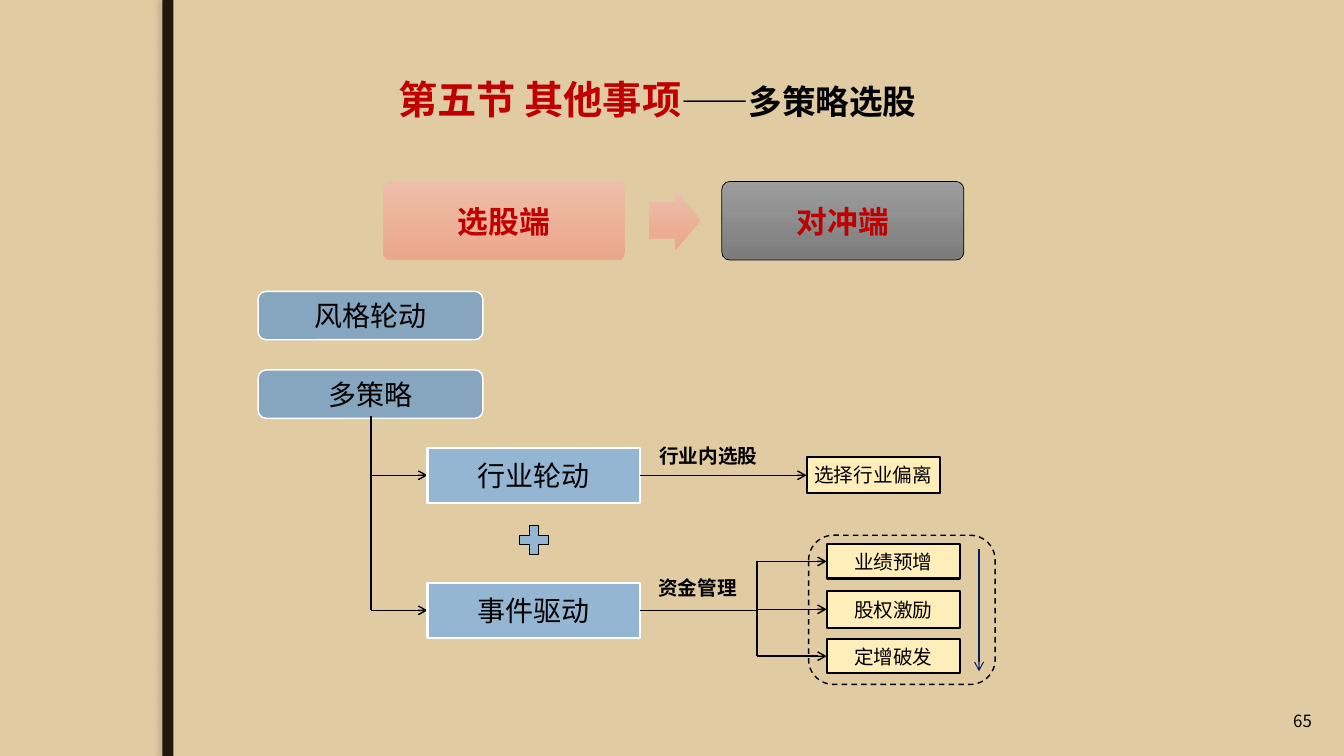
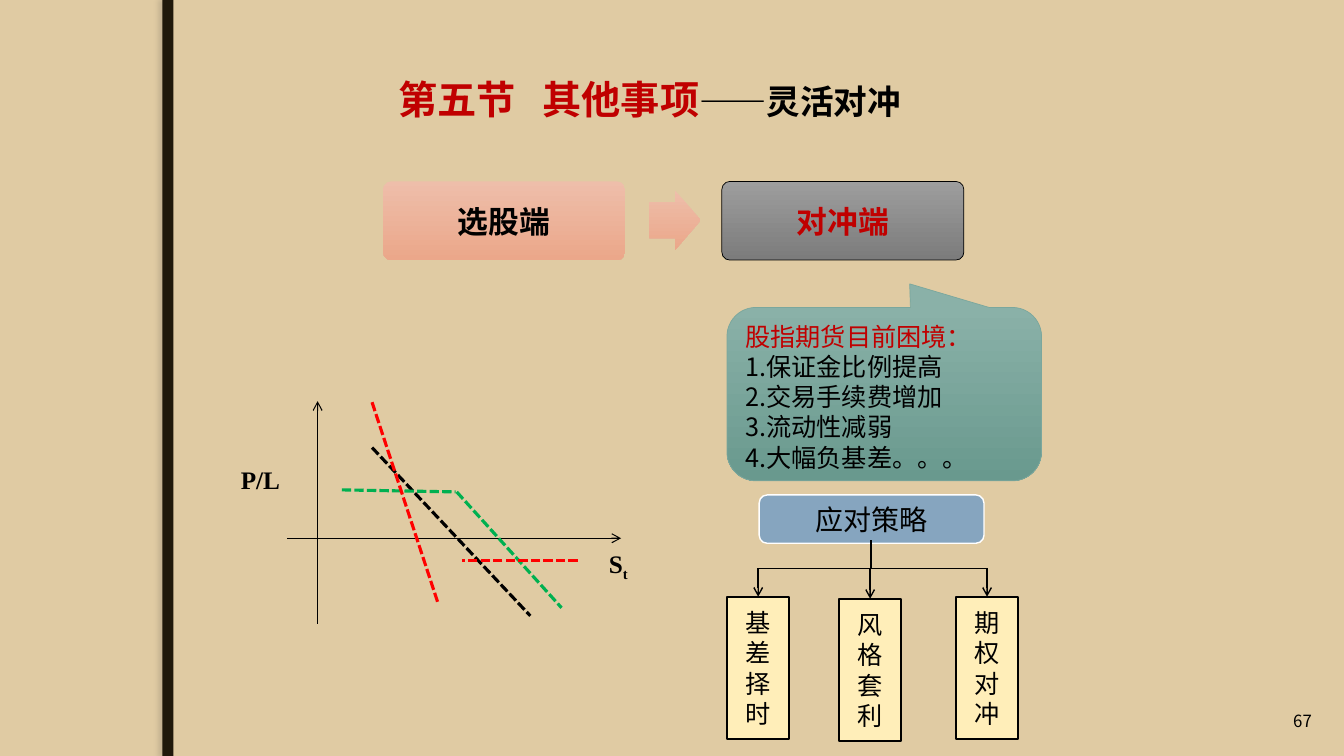
from dataclasses import dataclass

from lxml import etree
from pptx import Presentation
from pptx.dml.color import RGBColor
from pptx.enum.dml import MSO_LINE
from pptx.enum.shapes import MSO_CONNECTOR, MSO_SHAPE
from pptx.enum.text import MSO_ANCHOR, MSO_AUTO_SIZE, PP_ALIGN
from pptx.oxml.ns import qn
from pptx.util import Inches, Pt


@dataclass(frozen=True)
class Theme:
    background: str = "E0CBA3"
    band: str = "20190B"
    band_shadow: str = "766E60"
    ink: str = "000000"
    accent: str = "C00000"
    white: str = "FFFFFF"
    strategy: str = "86A5BF"
    driver: str = "94B6D2"
    choice: str = "FFEEB9"
    order: str = "002060"
    stock_side: tuple = ("EEBEAA", "EBA78A")
    hedge_side: tuple = ("9D9D9D", "7C7C7C")
    callout: tuple = ("8AB1A8", "69998E")
    callout_edge: str = "7BA79D"
    green: str = "00B050"
    red: str = "FF0000"
    cjk: str = "Noto Sans CJK SC"
    display: str = "TeX Gyre Adventor"
    serif: str = "Times New Roman"
    sans: str = "Arial"
    title_size: int = 28
    subtitle_size: int = 24
    side_size: int = 22
    strategy_size: int = 20
    body_size: int = 18
    choice_size: int = 14
    page_size: int = 12
    leading: float = 1.2


T = Theme()

# ---- Content ----
SIDES = ("选股端", "对冲端")
TITLES = (
    [("第五节 其他事项", {}), ("——多策略选股", {"size": T.subtitle_size, "color": T.ink})],
    [("第五节", {}), (" ", {"spacing": 12.9}), ("其他事项", {}),
     ("——灵活对冲", {"size": T.subtitle_size, "color": T.ink})],
)
SELECTION = [("风格轮动", 2.89), ("多策略", 3.67)]
DRIVERS = [("行业轮动", 4.44), ("事件驱动", 5.78)]
LINK_LABELS = [("行业内选股", 6.44, 4.36, 1.18), ("资金管理", 6.43, 5.66, 0.99)]
INDUSTRY_CHOICE = "选择行业偏离"
EVENTS = [("业绩预增", 5.4, 0.34), ("股权激励", 5.86, 0.37), ("定增破发", 6.34, 0.34)]

DIFFICULTIES = ["股指期货目前困境：", "1.保证金比例提高", "2.交易手续费增加",
                "3.流动性减弱", "4.大幅负基差。。。"]
RESPONSE = "应对策略"
RESPONSES = [("基差择时", 7.21, 5.92), ("风格套利", 8.32, 5.94), ("期权对冲", 9.48, 5.92)]
AXES = [[(3.15, 6.19), (3.15, 3.98)], [(2.85, 5.34), (6.16, 5.34)]]
PAYOFFS = [
    (T.ink, [(3.69, 4.44), (5.26, 6.11)]),
    (T.green, [(3.39, 4.86), (4.52, 4.88)]),
    (T.green, [(4.53, 4.88), (5.57, 6.03)]),
    (T.red, [(5.73, 5.56), (4.58, 5.56)]),
    (T.red, [(3.69, 3.99), (4.34, 5.97)]),
]
AXIS_LABELS = [([("P/L", {})], 2.29, 4.56, 0.59),
               ([("S", {}), ("t", {"baseline": -25})], 5.94, 5.43, 0.4)]


# ---- Drawing helpers ----
def rgb(value):
    return RGBColor.from_string(value)


def write(frame, paragraphs, size, font=T.cjk, color=T.ink, bold=False,
          align=PP_ALIGN.LEFT, anchor=MSO_ANCHOR.TOP, wrap=True, inset=None):
    """Each paragraph is a string or a list of (text, overrides) runs."""
    frame.word_wrap = wrap
    frame.auto_size = MSO_AUTO_SIZE.NONE
    frame.vertical_anchor = anchor
    if inset is not None:
        frame.margin_left = frame.margin_right = Inches(inset)
        frame.margin_top = frame.margin_bottom = Inches(inset)
    for index, content in enumerate(paragraphs):
        paragraph = frame.paragraphs[0] if index == 0 else frame.add_paragraph()
        paragraph.alignment = align
        paragraph.line_spacing = Pt(size * T.leading)
        runs = [(content, {})] if isinstance(content, str) else content
        for text, own in runs:
            run = paragraph.add_run()
            run.text = text
            run.font.size = Pt(own.get("size", size))
            run.font.bold = bold
            run.font.name = font
            run.font.color.rgb = rgb(own.get("color", color))
            properties = run.font._element
            etree.SubElement(properties, qn("a:ea"), typeface=T.cjk)
            if "baseline" in own:
                properties.set("baseline", str(own["baseline"] * 1000))
            if "spacing" in own:
                properties.set("spc", str(round(own["spacing"] * 100)))


def add_text(slide, box, paragraphs, **style):
    holder = slide.shapes.add_textbox(*map(Inches, box))
    write(holder.text_frame, paragraphs, **style)


def add_box(slide, kind, box, fill=None, edge=None, weight=1, adjust=(), dash=None):
    shape = slide.shapes.add_shape(kind, *map(Inches, box))
    shape.shadow.inherit = False
    for index, value in enumerate(adjust):
        shape.adjustments[index] = value
    if fill is None:
        shape.fill.background()
    elif isinstance(fill, tuple):
        shape.fill.gradient()
        shape.fill.gradient_angle = 270
        for stop, value in zip(shape.fill.gradient_stops, fill):
            stop.color.rgb = rgb(value)
    else:
        shape.fill.solid()
        shape.fill.fore_color.rgb = rgb(fill)
    if edge is None:
        shape.line.fill.background()
    else:
        shape.line.color.rgb = rgb(edge)
        shape.line.width = Pt(weight)
        shape.line.dash_style = dash
    return shape


def add_route(slide, points, color=T.ink, weight=1, arrow=True, dash=None):
    """Join the points with straight lines; an arrowhead ends the last one."""
    for start, end in zip(points, points[1:]):
        line = slide.shapes.add_connector(
            MSO_CONNECTOR.STRAIGHT, *map(Inches, (*start, *end)))
        line.line.color.rgb = rgb(color)
        line.line.width = Pt(weight)
        line.line.dash_style = dash
        etree.SubElement(line._element.spPr, qn("a:effectLst"))
        if arrow and end == points[-1]:
            etree.SubElement(line.line._get_or_add_ln(), qn("a:tailEnd"), type="arrow")


# ---- Parts of the deck ----
def add_band(slide, layout):
    """Draw the dark band once and hand it to the layout."""
    band = add_box(slide, MSO_SHAPE.RECTANGLE, (1.61, 0, 0.11, 7.5), T.band)
    effects = band._element.spPr.find(qn("a:effectLst"))
    shadow = etree.SubElement(effects, qn("a:outerShdw"), blurRad=str(Pt(3)),
                              dist=str(Pt(3)), dir="10800000")
    tone = etree.SubElement(shadow, qn("a:srgbClr"), val=T.band_shadow)
    etree.SubElement(tone, qn("a:alpha"), val="25000")
    layout.shapes.element.insert(2, band._element)


def start_slide(prs, layout, title_runs, page, side_colors):
    slide = prs.slides.add_slide(layout)
    title = slide.shapes.title
    title.left, title.top, title.width, title.height = map(Inches, (3.85, 0.7, 5.55, 0.57))
    write(title.text_frame, [title_runs], size=T.title_size, color=T.accent,
          bold=True, wrap=False)
    looks = [(3.8, T.stock_side, None), (7.16, T.hedge_side, T.ink)]
    for name, color, (left, fill, edge) in zip(SIDES, side_colors, looks):
        side = add_box(slide, MSO_SHAPE.ROUNDED_RECTANGLE, (left, 1.8, 2.4, 0.78),
                       fill, edge, 0.5, (0.1,))
        write(side.text_frame, [name], size=T.side_size, font=T.display, color=color,
              bold=True, align=PP_ALIGN.CENTER, anchor=MSO_ANCHOR.MIDDLE, inset=0.09)
    add_box(slide, MSO_SHAPE.RIGHT_ARROW, (6.44, 1.89, 0.51, 0.59), T.stock_side,
            adjust=(0.6, 0.5))
    add_text(slide, (10, 7.03, 3.11, 0.27), [str(page)], size=T.page_size,
             align=PP_ALIGN.RIGHT, anchor=MSO_ANCHOR.BOTTOM)
    return slide


def add_node(slide, kind, box, paragraphs, fill, edge, weight, size, font=T.serif):
    node = add_box(slide, kind, box, fill, edge, weight)
    write(node.text_frame, paragraphs, size=size, font=font, align=PP_ALIGN.CENTER,
          anchor=MSO_ANCHOR.MIDDLE, inset=0)


def add_strategy(slide, left, top, name):
    add_node(slide, MSO_SHAPE.ROUNDED_RECTANGLE, (left, top, 2.23, 0.48), [name],
             T.strategy, T.white, 1, T.strategy_size, T.display)


def add_choice(slide, box, paragraphs, size=T.choice_size):
    add_node(slide, MSO_SHAPE.RECTANGLE, box, paragraphs, T.choice, T.ink, 1.5, size)


def fill_selection(slide):
    for name, top in SELECTION:
        add_strategy(slide, 2.56, top, name)

    # Drivers hang from one trunk
    trunk, driver_left, driver_right, driver_height = 3.68, 4.24, 6.35, 0.55
    middles = [top + driver_height / 2 for _, top in DRIVERS]
    add_route(slide, [(trunk, 4.13), (trunk, middles[-1])], arrow=False)
    for (name, top), middle in zip(DRIVERS, middles):
        add_route(slide, [(trunk, middle), (driver_left, middle)])
        add_node(slide, MSO_SHAPE.RECTANGLE,
                 (driver_left, top, driver_right - driver_left, driver_height),
                 [name], T.driver, T.white, 1.5, T.strategy_size)
    add_box(slide, MSO_SHAPE.MATH_PLUS, (5.1, 5.16, 0.39, 0.39), T.driver, T.ink, 0.75)

    # Industry choice
    industry, event = middles
    add_route(slide, [(driver_right, industry), (8, industry)])
    add_choice(slide, (8, 4.53, 1.32, 0.36), [INDUSTRY_CHOICE])

    # Events fan out from one fork, in order of priority
    fork, event_left = 7.51, 8.2
    add_box(slide, MSO_SHAPE.ROUNDED_RECTANGLE, (8.02, 5.31, 1.85, 1.48),
            edge=T.ink, adjust=(0.167,), dash=MSO_LINE.DASH)
    add_route(slide, [(driver_right, event), (fork, event)], arrow=False)
    for name, top, height in EVENTS:
        middle = top + height / 2
        add_route(slide, [(fork, event), (fork, middle), (event_left, middle)])
        add_choice(slide, (event_left, top, 1.32, height), [name])
    add_route(slide, [(9.71, 5.45), (9.71, 6.66)], T.order, 0.75)

    for name, left, top, width in LINK_LABELS:
        add_text(slide, (left, top, width, 0.34), [name], size=T.choice_size,
                 font=T.sans, bold=True, wrap=False)


def fill_hedging(slide):
    # Difficulties
    callout = add_box(slide, MSO_SHAPE.ROUNDED_RECTANGULAR_CALLOUT,
                      (7.21, 3.05, 3.12, 1.72), T.callout, T.callout_edge, 0.5,
                      (0.081, -0.636, 0.167))
    heading, *points = DIFFICULTIES
    write(callout.text_frame, [[(heading, {"color": T.accent})], *points], size=T.body_size)

    # Responses
    add_strategy(slide, 7.53, 4.91, RESPONSE)
    trunk, branch, width = 8.64, 5.64, 0.62
    add_route(slide, [(trunk, 5.36), (trunk, branch)], arrow=False)
    for name, left, top in RESPONSES:
        middle = left + width / 2
        add_route(slide, [(trunk, branch), (middle, branch), (middle, top)])
        add_choice(slide, (left, top, width, 1.41), list(name), T.body_size)

    # Payoff sketch
    for axis in AXES:
        add_route(slide, axis, weight=0.75)
    for color, payoff in PAYOFFS:
        add_route(slide, payoff, color, 2.25, arrow=False, dash=MSO_LINE.SQUARE_DOT)
    for label, left, top, label_width in AXIS_LABELS:
        add_text(slide, (left, top, label_width, 0.4), [label], size=T.body_size,
                 font=T.serif, bold=True, wrap=False)


def main():
    prs = Presentation()
    prs.slide_width, prs.slide_height = Inches(13.33), Inches(7.5)
    backdrop = prs.slide_master.background.fill
    backdrop.solid()
    backdrop.fore_color.rgb = rgb(T.background)
    layout = prs.slide_layouts[5]

    selection = start_slide(prs, layout, TITLES[0], 65, (T.accent, T.accent))
    add_band(selection, layout)
    fill_selection(selection)
    fill_hedging(start_slide(prs, layout, TITLES[1], 67, (T.ink, T.accent)))
    prs.save("out.pptx")


if __name__ == "__main__":
    main()
